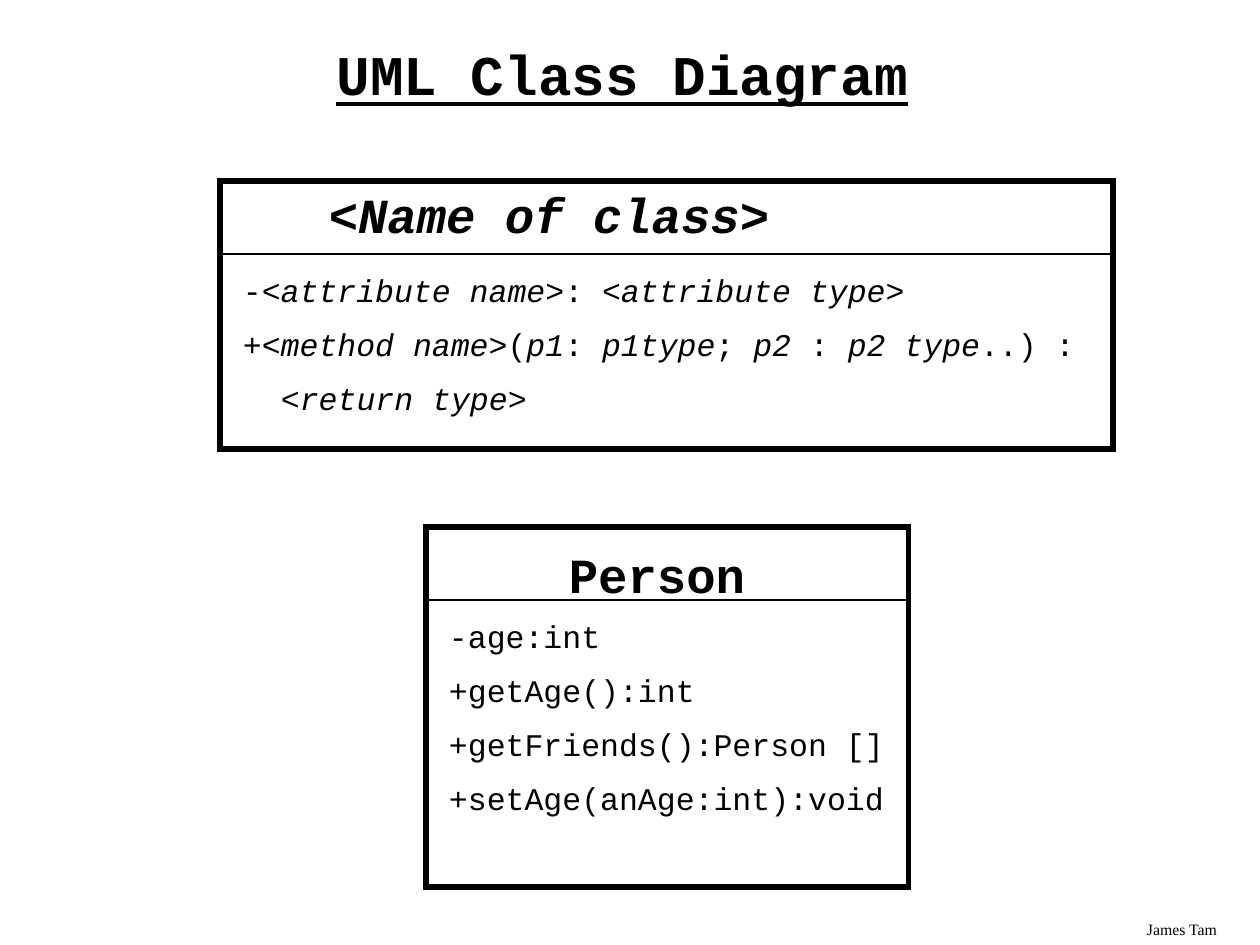
from lxml import etree
from pptx import Presentation
from pptx.dml.color import RGBColor
from pptx.enum.shapes import MSO_CONNECTOR, MSO_SHAPE
from pptx.enum.text import MSO_ANCHOR, PP_ALIGN
from pptx.oxml.ns import qn
from pptx.util import Pt

PX = 914400 // 126
CODE_FONT, FOOTER_FONT = "Courier New", "Times New Roman"
COLORS = {"ink": "000000"}
TITLE_ONLY = 5
CENTER, LEFT = PP_ALIGN.CENTER, PP_ALIGN.LEFT
MIDDLE = MSO_ANCHOR.MIDDLE
RECTANGLE, STRAIGHT = MSO_SHAPE.RECTANGLE, MSO_CONNECTOR.STRAIGHT
FEATURE_INDENT = 38

# A line is a list of (text, italic) spans.
TEMPLATE_NAME = [("<", False), ("Name of class", True), (">", False)]
TEMPLATE_FEATURES = [
    [("-<", False), ("attribute name", True), (">: <", False),
     ("attribute type", True), (">", False)],
    [("+<", False), ("method name", True), (">(", False), ("p1", True),
     (":", False), (" p1type", True), (";", False), (" p2 ", True),
     (":", False), (" p2 type", True), ("..) :", False)],
    [("<", False), ("return type", True), (">", False)],
]
PERSON_NAME = [("Person", False)]
PERSON_FEATURES = [[(text, False)] for text in (
    "-age:int", "+getAge():int", "+getFriends():Person []",
    "+setAge(anAge:int):void")]


def emu(*lengths):
    return [length * PX for length in lengths]


def ink():
    return RGBColor.from_string(COLORS["ink"])


def style(span, size, font=CODE_FONT, bold=False, italic=False):
    span.font.name = font
    span.font.size = Pt(size)
    span.font.bold = bold
    span.font.italic = italic
    span.font.color.rgb = ink()


def add_text(page, box, lines, size, align=LEFT, margins=(0, 0), **look):
    """Write lines of spans; margins are left and top."""
    frame = page.shapes.add_textbox(*emu(*box)).text_frame
    frame.word_wrap = True
    frame.margin_left, frame.margin_top = emu(*margins)
    frame.margin_right = frame.margin_bottom = 0
    for index, line in enumerate(lines):
        para = frame.add_paragraph() if index else frame.paragraphs[0]
        para.alignment = align
        para.space_before = Pt(9.2 if index else 0)
        for text, italic in line:
            span = para.add_run()
            span.text = text
            style(span, size, italic=italic, **look)
    return frame


def add_title(page, box, text):
    title = page.shapes.title
    title.left, title.top, title.width, title.height = emu(*box)
    title.text_frame.text = text
    title.text_frame.vertical_anchor = MIDDLE
    para = title.text_frame.paragraphs[0]
    para.alignment = CENTER
    para.line_spacing = 0.9
    span = para.runs[0]
    style(span, 32, bold=True)
    span.font.underline = True


def add_class(page, box, name, name_box, features, features_height):
    """Draw a class; name_box is relative to the class box."""
    left, top, width, height = box
    name_left, name_top, name_width, name_height = name_box
    add_text(page, (left + name_left, top + name_top, name_width, name_height),
             [name], 28, CENTER, (0, 7), bold=True)

    outline = page.shapes.add_shape(RECTANGLE, *emu(*box))
    outline.shadow.inherit = False
    outline.fill.background()
    outline.line.color.rgb = ink()
    outline.line.width = Pt(3)
    corners = etree.SubElement(outline.line._get_or_add_ln(), qn("a:miter"))
    corners.set("lim", "800000")

    divider_top = top + 73
    divider = page.shapes.add_connector(
        STRAIGHT, *emu(left, divider_top, left + width, divider_top))
    divider.line.color.rgb = ink()
    divider.line.width = Pt(1)
    etree.SubElement(divider._element.spPr, qn("a:effectLst"))

    return add_text(page, (left + 10, top + 84, width - 20, features_height),
                    features, 18, margins=(13, 6))


def add_footer(page, box, text):
    add_text(page, box, [[(text, False)]], 9, margins=(13, 6), font=FOOTER_FONT)


def main():
    deck = Presentation()
    deck.slide_width, deck.slide_height = emu(1260, 945)
    page = deck.slides.add_slide(deck.slide_layouts[TITLE_ONLY])
    add_footer(page, (1134, 914, 126, 31), "James Tam")
    add_title(page, (87, 0, 1071, 154), "UML Class Diagram")
    template = add_class(page, (220, 181, 893, 268), TEMPLATE_NAME,
                         (81, -3, 496, 55), TEMPLATE_FEATURES, 173)
    return_type = template.paragraphs[-1]._p.get_or_add_pPr()
    return_type.set("marL", str(FEATURE_INDENT * PX))
    add_class(page, (426, 527, 483, 360), PERSON_NAME,
              (126, 11, 210, 55), PERSON_FEATURES, 239)
    deck.save("out.pptx")


if __name__ == "__main__":
    main()
